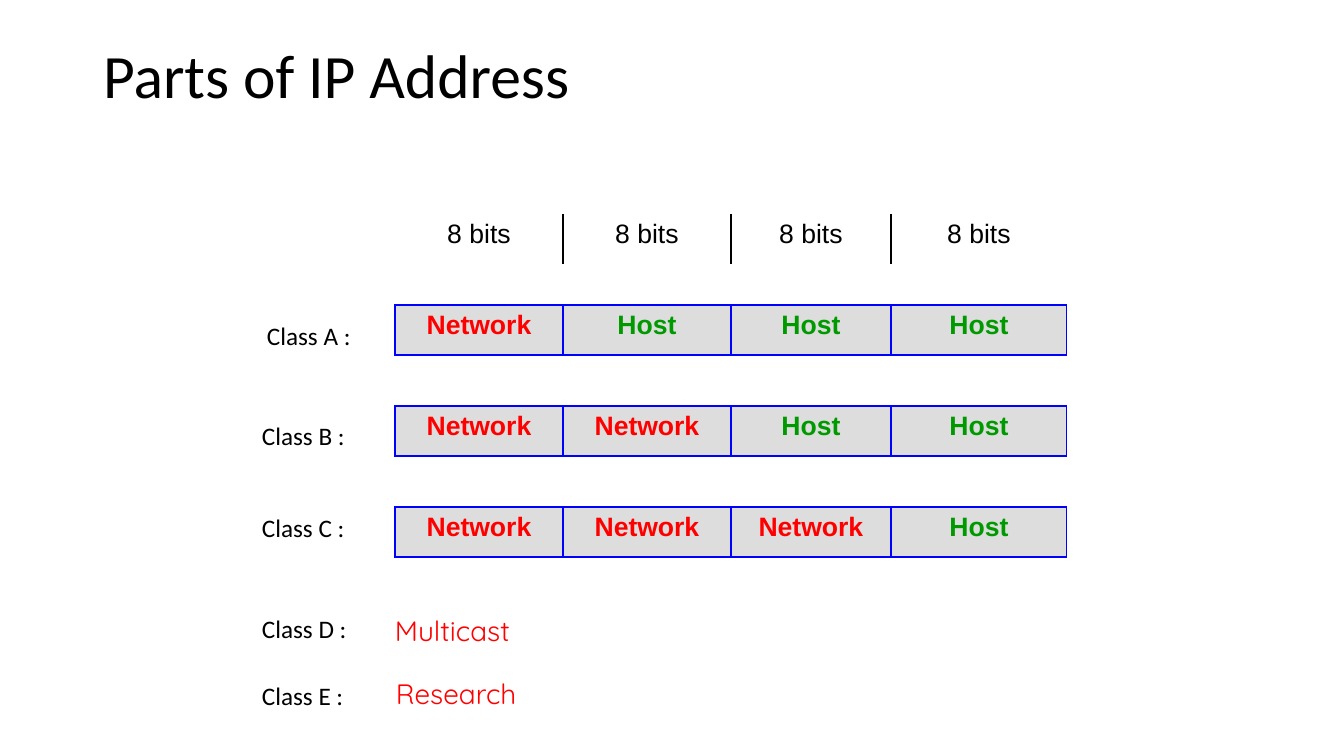
from pptx import Presentation
from pptx.dml.color import RGBColor
from pptx.enum import text
from pptx.oxml import parse_xml
from pptx.oxml.ns import nsdecls
from pptx.util import Emu, Pt

THEME = {
    "black": "000000", "network": "FF0000", "host": "009900",
    "cell": "DDDDDD", "grid": "0000FF",
    "title": ("Calibri", 44), "label": ("Calibri", 18),
    "octet": ("Arial", 19), "usage": ("Quicksand", 20),
}
PX = 9144000 / 1008

TITLE = "Parts of IP Address"
OCTETS = 4
BITS = ["8 bits"] * OCTETS
NETWORK_OCTETS = [1, 2, 3]
LABELS = [("Class A :", 257, 315), ("Class B :", 252, 415), ("Class C :", 252, 507),
          ("Class D :", 252, 608), ("Class E :", 252, 675)]
USAGES = [("Multicast", 385, 609), ("Research", 386, 672)]

GRID_LEFT, BITS_TOP, CLASS_TOP, CLASS_STEP = 395, 214, 305, 101
OCTET_WIDTHS, ROW_HEIGHT = [168, 168, 160, 176], 50
LABEL_SIZE, USAGE_SIZE = (120, 40), (160, 43)


def px(*lengths):
    return [Emu(round(length * PX)) for length in lengths]


def style(paragraph, role, color, bold=False):
    name, size = THEME[role]
    for run in paragraph.runs:
        font = run.font
        font.name, font.size, font.bold = name, Pt(size), bold
        font.color.rgb = RGBColor.from_string(THEME[color])


def add_label(words, left, top, size, role, color):
    label = slide.shapes.add_textbox(*px(left, top, *size)).text_frame
    label.word_wrap = True
    label.text = words
    style(label.paragraphs[0], role, color)


def set_borders(cell, color, sides):
    properties = cell._tc.get_or_add_tcPr()
    for side in "LRTB":
        paint = (f'<a:solidFill><a:srgbClr val="{THEME[color]}"/></a:solidFill>'
                 if side in sides else "<a:noFill/>")
        properties.append(parse_xml(
            f'<a:ln{side} {nsdecls("a")} w="{Pt(1)}">{paint}</a:ln{side}>'))


def add_octets(top, words, colors, bold, grid, sides, fill=None):
    table = slide.shapes.add_table(
        1, OCTETS, *px(GRID_LEFT, top, sum(OCTET_WIDTHS), ROW_HEIGHT)).table
    table.first_row = table.horz_banding = False
    table.rows[0].height = px(ROW_HEIGHT)[0]
    for column, width in zip(table.columns, px(*OCTET_WIDTHS)):
        column.width = width
    for cell, word, color, drawn in zip(table.rows[0].cells, words, colors, sides):
        cell.text = word
        octet = cell.text_frame.paragraphs[0]
        octet.alignment = text.PP_ALIGN.CENTER
        style(octet, "octet", color, bold)
        set_borders(cell, grid, drawn)
        if fill:
            cell.fill.solid()
            cell.fill.fore_color.rgb = RGBColor.from_string(THEME[fill])
        else:
            cell.fill.background()


deck = Presentation()
deck.slide_width, deck.slide_height = px(1344, 756)
slide = deck.slides.add_slide(deck.slide_layouts[5])

title = slide.shapes.title
title.left, title.top, title.width, title.height = px(93, 40, 1159, 146)
heading = title.text_frame
heading.text = TITLE
heading.vertical_anchor = text.MSO_ANCHOR.TOP
heading.paragraphs[0].alignment = text.PP_ALIGN.LEFT
heading.paragraphs[0].line_spacing = 0.9
style(heading.paragraphs[0], "title", "black")

add_octets(BITS_TOP, BITS, ["black"] * OCTETS, False, "black", ["R", "LR", "LR", "L"])
for row, networks in enumerate(NETWORK_OCTETS):
    parts = ["network"] * networks + ["host"] * (OCTETS - networks)
    add_octets(CLASS_TOP + row * CLASS_STEP, [part.title() for part in parts], parts,
               True, "grid", ["LRTB"] * OCTETS, "cell")

for words, left, top in LABELS:
    add_label(words, left, top, LABEL_SIZE, "label", "black")
for words, left, top in USAGES:
    add_label(words, left, top, USAGE_SIZE, "usage", "network")

deck.save("out.pptx")
